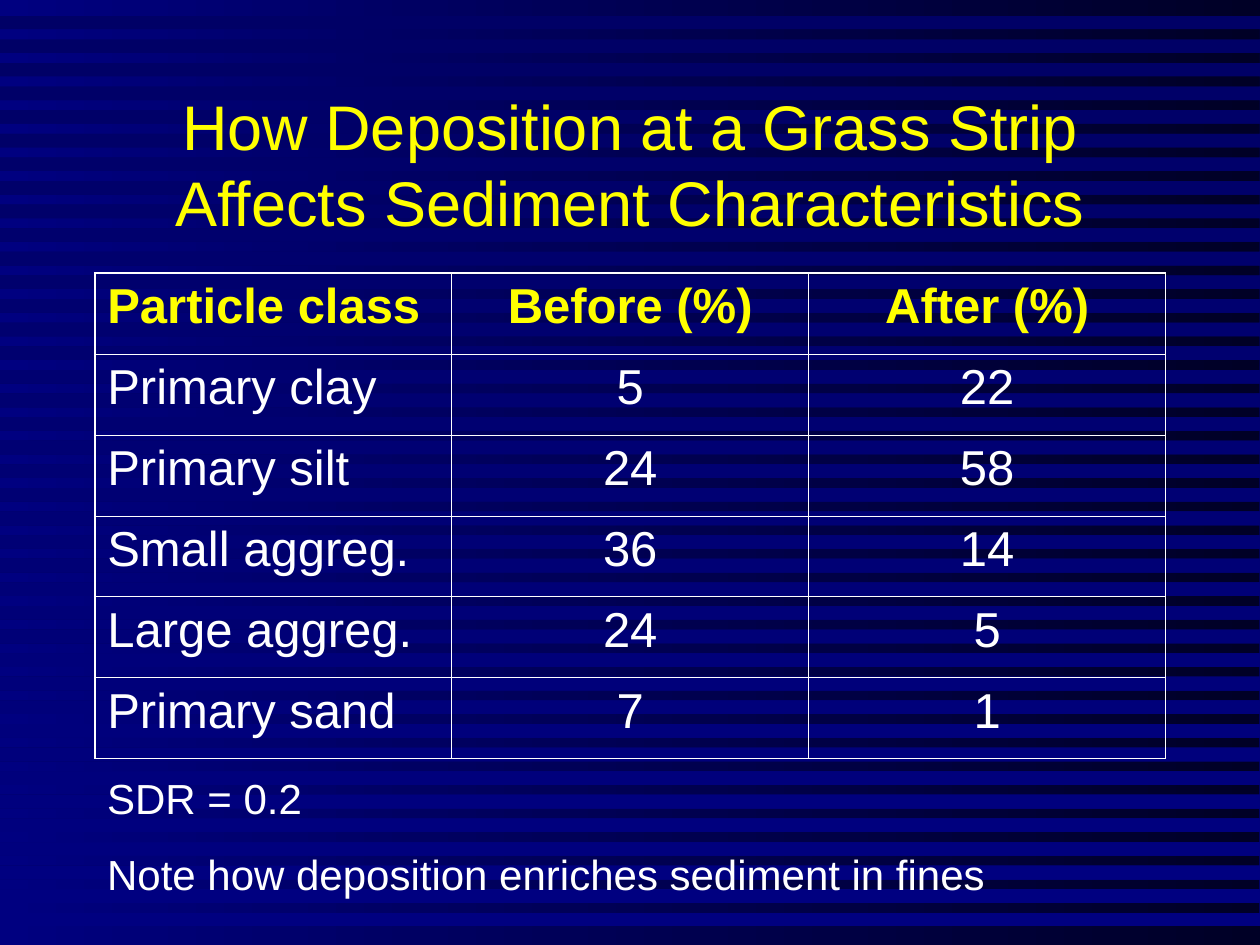
from lxml.etree import SubElement as Sub
from pptx import Presentation as Deck
from pptx.dml.color import RGBColor as Rgb
from pptx.enum.shapes import MSO_SHAPE as Kind
from pptx.enum.text import MSO_ANCHOR as Anchor, PP_ALIGN as Align
from pptx.oxml.ns import qn
from pptx.util import Cm, Pt

HUES = {"night": "000026", "deep": "000066", "navy": "000080",
        "gold": "FFFF00", "white": "FFFFFF"}
WIDE, HIGH = 25.4, 19.05
LEFT, SPAN = 1.91, 21.59
ROWS = [
    ("Particle class", "Before (%)", "After (%)"),
    ("Primary clay", "5", "22"),
    ("Primary silt", "24", "58"),
    ("Small aggreg.", "36", "14"),
    ("Large aggreg.", "24", "5"),
    ("Primary sand", "7", "1"),
]


class Page:
    """Holds the style and the current slide, and draws each kind of element."""

    def __init__(self, slide, font="Arial"):
        self.slide = slide
        self.font = font

    def blend(self, fill, first, last, angle):
        fill.gradient()
        fill.gradient_angle = angle
        for stop, hue, place in zip(fill.gradient_stops, (first, last), (0, 1)):
            stop.color.rgb = Rgb.from_string(HUES[hue])
            stop.position = place

    def finish(self, shape, first, last, angle):
        shape.shadow.inherit = False
        shape.line.fill.background()
        self.blend(shape.fill, first, last, angle)

    def panel(self):
        rect = self.slide.shapes.add_shape(Kind.RECTANGLE, 0, 0, Cm(WIDE), Cm(HIGH))
        self.finish(rect, "night", "navy", 180)

    def bands(self, top, deep, pitch, count):
        points = []
        for step in range(count):
            head = top + step * pitch
            foot = head + deep
            points += [(WIDE, head), (0, head), (0, foot), (WIDE, foot)]
        points = [(Cm(x), Cm(y)) for x, y in points]
        shape = self.slide.shapes.build_freeform(*points[0])
        shape.add_line_segments(points[1:], close=True)
        self.finish(shape.convert_to_shape(), "deep", "navy", 270)

    def run(self, para, text, size, hue, align=Align.LEFT, bold=False):
        para.alignment = align
        run = para.add_run()
        run.text = text
        run.font.name = self.font
        run.font.size = Pt(size)
        run.font.bold = bold
        run.font.color.rgb = Rgb.from_string(HUES[hue])

    def text(self, box, lines, size, hue, align=Align.LEFT, anchor=Anchor.TOP, gap=0):
        frame = self.slide.shapes.add_textbox(*map(Cm, box)).text_frame
        frame.word_wrap = True
        frame.vertical_anchor = anchor
        for spot, line in enumerate(lines):
            para = frame.add_paragraph() if spot else frame.paragraphs[0]
            if spot:
                para.space_before = Pt(gap)
            self.run(para, line, size, hue, align)

    def border(self, cell, edges):
        props = cell._tc.get_or_add_tcPr()
        for spot, (side, outer) in enumerate(edges.items()):
            width = Pt(1.08 if outer else 0.45)
            line = Sub(props, qn(f"a:ln{side}"), w=str(width))
            Sub(Sub(line, qn("a:solidFill")), qn("a:srgbClr"), val=HUES["white"])
            props.insert(spot, line)

    def table(self, top, tall, rows):
        last, end = len(rows) - 1, len(rows[0]) - 1
        box = map(Cm, (LEFT, top, SPAN, tall * len(rows)))
        grid = self.slide.shapes.add_table(len(rows), len(rows[0]), *box).table
        grid.first_row = grid.horz_banding = False
        for r, row in enumerate(rows):
            grid.rows[r].height = Cm(tall)
            for c, text in enumerate(row):
                cell = grid.cell(r, c)
                cell.fill.background()
                self.border(cell, {"L": c == 0, "R": c == end,
                                   "T": r == 0, "B": r == last})
                self.run(cell.text_frame.paragraphs[0], text, 28,
                         "white" if r else "gold",
                         Align.CENTER if c else Align.LEFT, r == 0)


def main():
    deck = Deck()
    deck.slide_width, deck.slide_height = Cm(WIDE), Cm(HIGH)
    page = Page(deck.slides.add_slide(deck.slide_layouts[6]))
    page.blend(page.slide.background.fill, "deep", "navy", 270)
    page.panel()
    page.bands(0.32, 0.27, 0.476, 39)
    page.text((LEFT, 1.7, SPAN, 3.18),
              ["How Deposition at a Grass Strip Affects Sediment Characteristics"],
              36, "gold", Align.CENTER, Anchor.MIDDLE)
    page.table(5.51, 1.63, ROWS)
    page.text((LEFT, 15.44, 21.79, 2.82),
              ["SDR = 0.2", "Note how deposition enriches sediment in fines"],
              24, "white", gap=15)
    deck.save("out.pptx")


if __name__ == "__main__":
    main()
